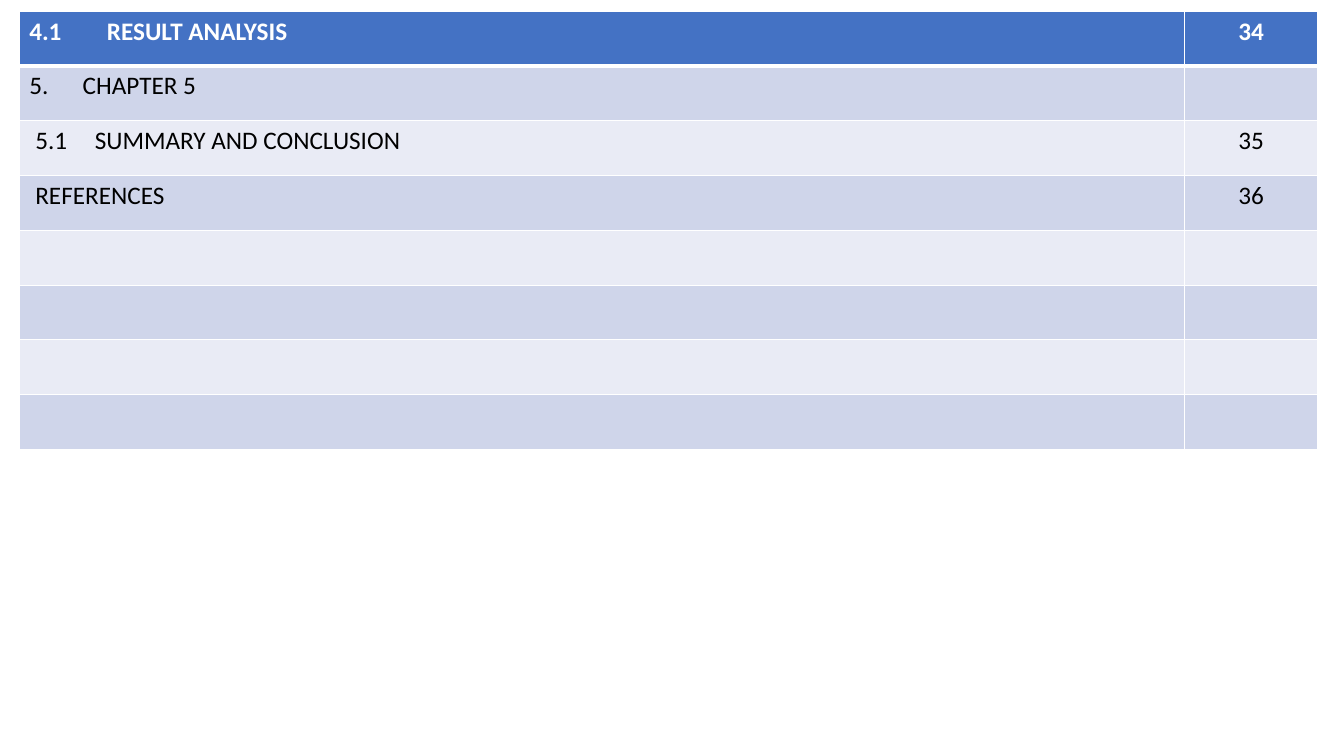
"""Build a table-of-contents slide with one banded table."""
import lxml.etree
import pptx
import pptx.dml.color
import pptx.enum.text
import pptx.oxml.ns
import pptx.util

Inches = pptx.util.Inches
Pt = pptx.util.Pt
RGBColor = pptx.dml.color.RGBColor
qn = pptx.oxml.ns.qn

WHITE = RGBColor(0xFF, 0xFF, 0xFF)
BLACK = RGBColor(0x00, 0x00, 0x00)
HEADER_BLUE = RGBColor(0x44, 0x72, 0xC4)
BANDS = [RGBColor(0xE9, 0xEB, 0xF5), RGBColor(0xCF, 0xD5, 0xEA)]

# number, title, page, left margin, tab stop
ENTRIES = [
    ("4.1", "RESULT ANALYSIS", "34", 0.1, 0.77),
    ("5.", "CHAPTER 5", "", 0.1, 0.53),
    ("5.1", "SUMMARY AND CONCLUSION", "35", 0.16, 0.59),
    ("", "REFERENCES", "36", 0.16, 0),
]
ROW_COUNT = 8
COLUMN_WIDTHS = [11.56, 1.32]
LEFT, TOP, HEIGHT = 0.19, 0.11, 4.35


def add_borders(cell, row_index):
    """Draw white borders, thicker under the header row."""
    properties = cell._tc.get_or_add_tcPr()
    widths = {
        "a:lnL": 1,
        "a:lnR": 1,
        "a:lnT": 3 if row_index == 1 else 1,
        "a:lnB": 3 if row_index == 0 else 1,
    }
    for tag, width in widths.items():
        line = lxml.etree.SubElement(properties, qn(tag), w=str(Pt(width)))
        fill = lxml.etree.SubElement(line, qn("a:solidFill"))
        lxml.etree.SubElement(fill, qn("a:srgbClr"), val=str(WHITE))


def add_tab_stop(paragraph, position):
    """Set one left-aligned tab stop on a paragraph."""
    properties = paragraph._p.get_or_add_pPr()
    tabs = lxml.etree.SubElement(properties, qn("a:tabLst"))
    lxml.etree.SubElement(tabs, qn("a:tab"), pos=str(Inches(position)), algn="l")


def format_cell(cell, row_index, text):
    """Write the text of a cell and apply the row's look."""
    is_header = row_index == 0
    add_borders(cell, row_index)
    cell.fill.solid()
    cell.fill.fore_color.rgb = HEADER_BLUE if is_header else BANDS[row_index % 2]
    paragraph = cell.text_frame.paragraphs[0]
    paragraph.text = text
    for run in paragraph.runs:
        run.font.name = "Calibri"
        run.font.size = Pt(18)
        run.font.bold = is_header
        run.font.color.rgb = WHITE if is_header else BLACK
    return paragraph


def main():
    """Create the slide and save it."""
    presentation = pptx.Presentation()
    presentation.slide_width = Inches(13.33)
    presentation.slide_height = Inches(7.5)
    slide = presentation.slides.add_slide(presentation.slide_layouts[6])
    table = slide.shapes.add_table(
        ROW_COUNT, len(COLUMN_WIDTHS), Inches(LEFT), Inches(TOP),
        Inches(sum(COLUMN_WIDTHS)), Inches(HEIGHT),
    ).table
    for column, width in zip(table.columns, COLUMN_WIDTHS):
        column.width = Inches(width)

    blank_rows = [("", "", "", 0.1, 0)] * (ROW_COUNT - len(ENTRIES))
    for row_index, entry in enumerate(ENTRIES + blank_rows):
        number, title, page, margin, tab_stop = entry
        title_cell = table.cell(row_index, 0)
        title_cell.margin_left = Inches(margin)
        text = f"{number}\t{title}" if number else title
        title_paragraph = format_cell(title_cell, row_index, text)
        if number:
            add_tab_stop(title_paragraph, tab_stop)
        page_paragraph = format_cell(table.cell(row_index, 1), row_index, page)
        page_paragraph.alignment = pptx.enum.text.PP_ALIGN.CENTER

    presentation.save("out.pptx")


if __name__ == "__main__":
    main()
